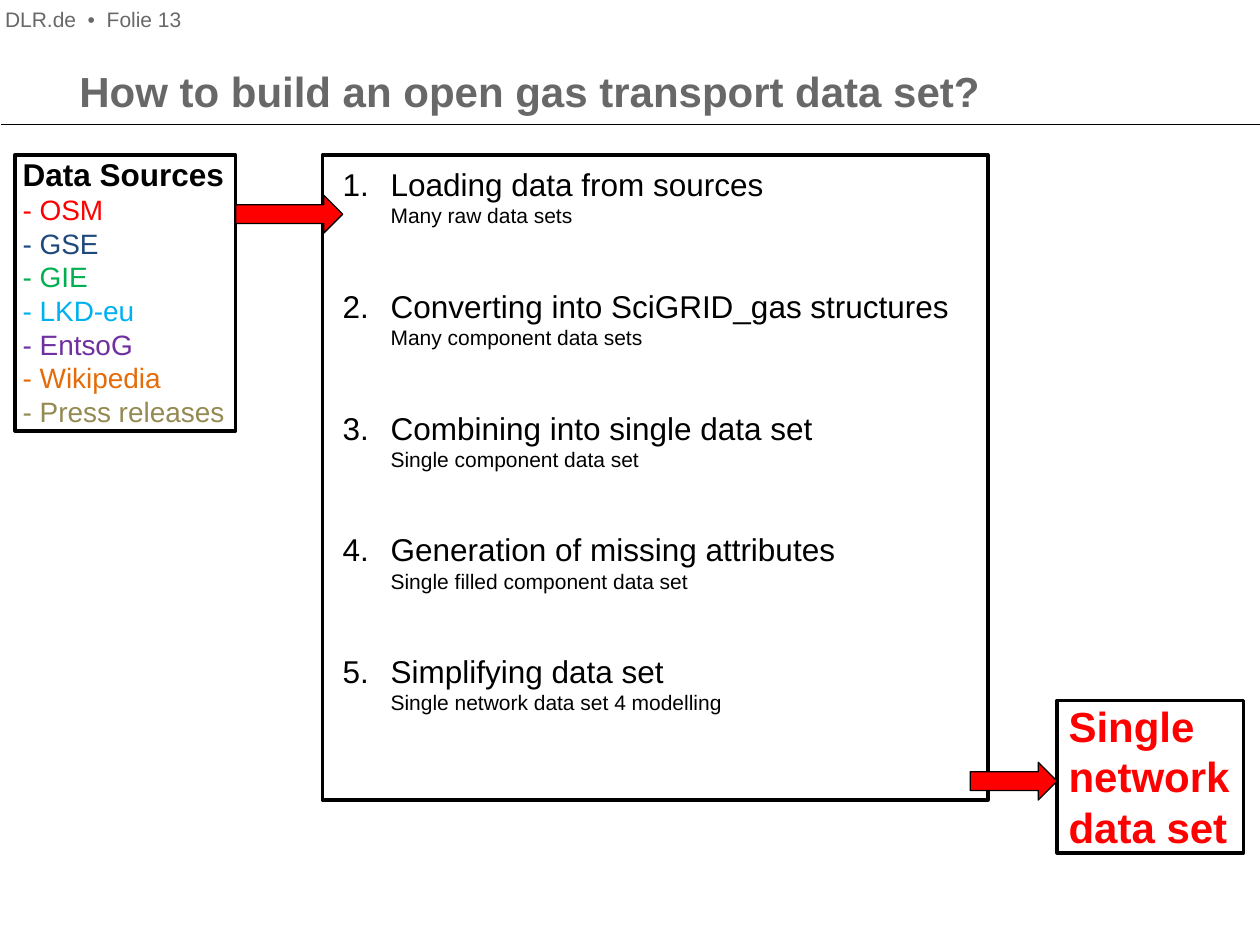
from pptx import Presentation
from pptx.dml.color import RGBColor
from pptx.enum.shapes import MSO_CONNECTOR, MSO_SHAPE
from pptx.enum.text import MSO_ANCHOR, MSO_AUTO_SIZE, PP_ALIGN
from pptx.oxml.ns import qn
from pptx.util import Inches, Pt
from lxml import etree

FONT = "Arial"
BLACK, GREY, RED = "000000", "686868", "FF0000"

SOURCES = [
    ("OSM", RED), ("GSE", "1F497D"), ("GIE", "00B050"), ("LKD-eu", "00B0F0"),
    ("EntsoG", "7030A0"), ("Wikipedia", "E46C0A"), ("Press releases", "948A54"),
]
STEPS = [
    ("Loading data from sources", "Many raw data sets"),
    ("Converting into SciGRID_gas structures", "Many component data sets"),
    ("Combining into single data set", "Single component data set"),
    ("Generation of missing attributes", "Single filled component data set"),
    ("Simplifying data set", "Single network data set 4 modelling"),
]


def color(value):
    return RGBColor.from_string(value)


def set_font(font, size, value=BLACK, bold=False):
    font.name, font.size, font.bold = FONT, Pt(size), bold
    font.color.rgb = color(value)


def place(shape, box):
    shape.left, shape.top, shape.width, shape.height = map(Inches, box)


def prepare_frame(shape, left=0, inset=0):
    frame = shape.text_frame
    frame.word_wrap = True
    frame.auto_size = MSO_AUTO_SIZE.NONE
    frame.vertical_anchor = MSO_ANCHOR.TOP
    frame.margin_left = Inches(left)
    frame.margin_right = Inches(inset)
    frame.margin_top = frame.margin_bottom = Inches(inset / 2)
    return frame


def write_lines(frame, lines):
    """Write (text, size, color, bold) lines, one paragraph each."""
    for index, (text, *style) in enumerate(lines):
        para = frame.add_paragraph() if index else frame.paragraphs[0]
        para.text = text
        para.alignment = PP_ALIGN.LEFT
        set_font(para.font, *style)


def add_shape(page, kind, box, fill=None, width=2):
    shape = page.shapes.add_shape(kind, *map(Inches, box))
    shape.shadow.inherit = False
    if fill:
        shape.fill.solid()
        shape.fill.fore_color.rgb = color(fill)
    else:
        shape.fill.background()
    shape.line.color.rgb = color(BLACK)
    shape.line.width = Pt(width)
    return shape


def add_header(page, title_box, label_box, rule_y):
    # Title
    title = page.shapes.title
    place(title, title_box)
    write_lines(prepare_frame(title, 0.1, 0.1),
                [("How to build an open gas transport data set?", 24, GREY, True)])
    # Rule below the title
    rule = page.shapes.add_connector(MSO_CONNECTOR.STRAIGHT, Inches(0.01), Inches(rule_y),
                                     Inches(10), Inches(rule_y))
    rule.line.color.rgb = color(BLACK)
    rule.line.width = Pt(0.75)
    etree.SubElement(rule._element.spPr, qn("a:effectLst"))
    # Page label
    label = page.shapes.add_textbox(*map(Inches, label_box))
    write_lines(prepare_frame(label), [("DLR.de  •  Folie 13", 12, GREY)])


def add_sources(page, box):
    frame = prepare_frame(add_shape(page, MSO_SHAPE.RECTANGLE, box), 0.06)
    write_lines(frame, [("Data Sources", 18, BLACK, True)]
                + [(f"- {name}", 16, value) for name, value in SOURCES])


def add_steps(page, box, text_box):
    add_shape(page, MSO_SHAPE.RECTANGLE, box)
    frame = prepare_frame(page.shapes.add_textbox(*map(Inches, text_box)))
    for index, (step, result) in enumerate(STEPS):
        para = frame.add_paragraph() if index else frame.paragraphs[0]
        if index:
            para.space_before = Pt(33.6)
        # Hanging number
        props = para._p.get_or_add_pPr()
        props.set("marL", str(Inches(0.38)))
        props.set("indent", str(-Inches(0.38)))
        etree.SubElement(props, qn("a:buFont"), typeface="+mj-lt")
        etree.SubElement(props, qn("a:buAutoNum"), type="arabicPeriod")
        # Step and its result on the next line
        span = para.add_run()
        span.text = step
        set_font(span.font, 18)
        para.add_line_break()
        span = para.add_run()
        span.text = result
        set_font(span.font, 12)


def add_result(page, box):
    frame = prepare_frame(add_shape(page, MSO_SHAPE.RECTANGLE, box), 0.09)
    write_lines(frame, [("Single\vnetwork\vdata set", 24, RED, True)])


def add_arrow(page, box):
    add_shape(page, MSO_SHAPE.RIGHT_ARROW, box, RED, 0.75)


def main():
    deck = Presentation()
    deck.slide_width, deck.slide_height = Inches(10), Inches(7.5)
    page = deck.slides.add_slide(deck.slide_layouts[5])
    add_header(page, (0.53, 0.47, 8.94, 0.92), (0.04, 0.05, 1.71, 0.2), 0.99)
    add_sources(page, (0.12, 1.23, 1.75, 2.19))
    add_steps(page, (2.56, 1.23, 5.28, 5.12), (2.72, 1.31, 4.85, 4.58))
    add_result(page, (8.39, 5.56, 1.48, 1.21))
    add_arrow(page, (7.7, 6.05, 0.69, 0.3))
    add_arrow(page, (1.87, 1.55, 0.85, 0.3))
    deck.save("out.pptx")


if __name__ == "__main__":
    main()
